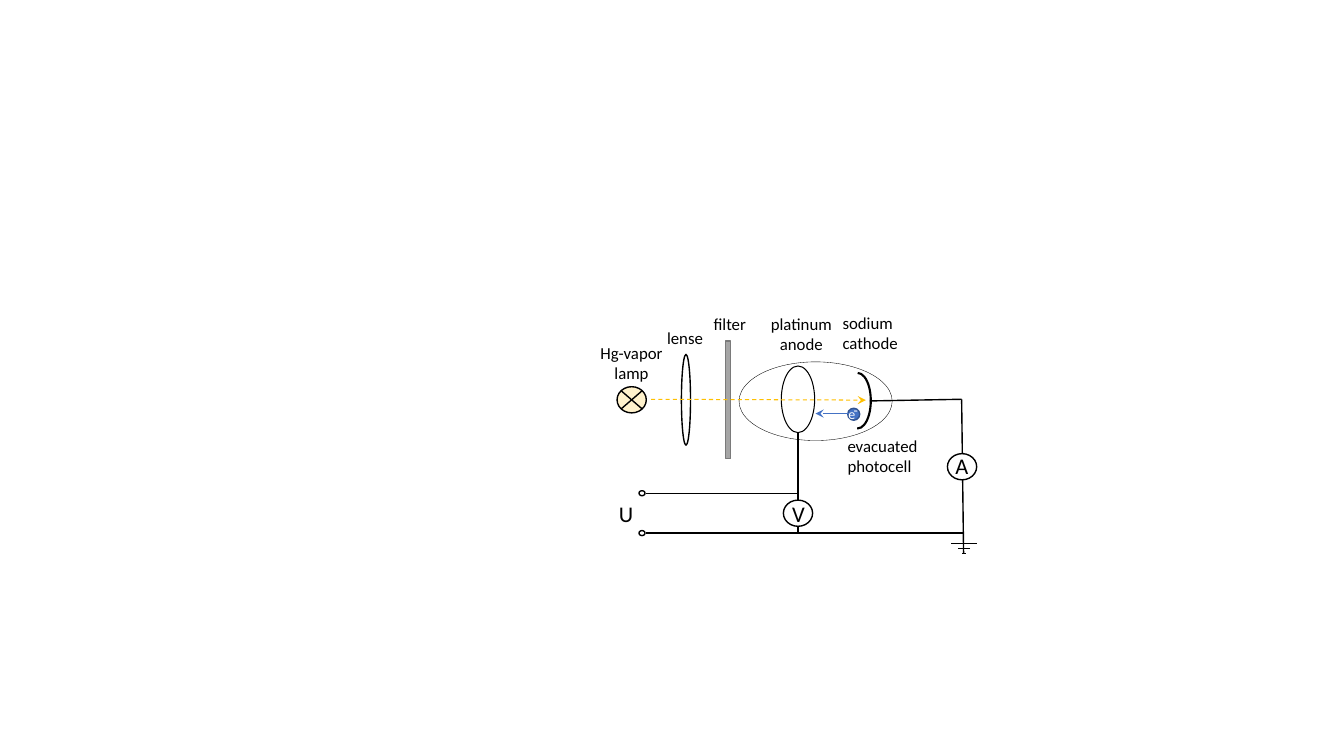
"""Draws the circuit for measuring the photoelectric effect."""
import pptx
import pptx.util
import pptx.dml.color
import pptx.enum.dml
import pptx.enum.shapes
import pptx.enum.text
import pptx.oxml

Pt = pptx.util.Pt
KIND = pptx.enum.shapes.MSO_SHAPE
ALIGN = pptx.enum.text.PP_ALIGN

COLORS = {
    "black": "000000", "white": "FFFFFF", "glow": "FFF2CC",
    "grey": "A5A5A5", "edge": "7A7A7A", "light": "FFC000",
    "blue": "4472C4", "navy": "325491",
}

LAMP, LENS, FILTER, ANODE, METER = 451.2, 490, 520.2, 570, 687.2
AXIS, UPPER, LOWER = 285.6, 352.3, 380.8
PORT = 458.6
GROUND = 688.3

# name: center x, center y, width, height, preset, fill, line, line width
BULB = (582.6, 286.6, 109.4, 56.2, KIND.OVAL, "white", "black", 0.25)
WIRES = [
    (461.5, LOWER, GROUND, LOWER),
    (461.5, UPPER, ANODE, UPPER),
    (ANODE, 309.4, ANODE, LOWER),
    (621.4, 286.4, 686.9, 285.2),
    (686.9, 285.2, GROUND, 395.2),
    (697.7, 388.1, 679, 388.1),
    (693, 391.7, 684, 391.7),
    (689.8, 395.3, 686.9, 395.3),
]
PARTS = [
    (ANODE, 285.2, 23.8, 47.6, KIND.OVAL, "white", "black", 0.75),
    (ANODE, 366.6, 20.9, 18.7, KIND.OVAL, "white", "black", 1),
    (METER, 333.4, 20.9, 18.7, KIND.OVAL, "white", "black", 1),
    (LAMP, AXIS, 20.9, 18.7, KIND.OVAL, "glow", "black", 1),
    (LENS, AXIS, 6.5, 64.8, KIND.OVAL, "white", "black", 1),
    (FILTER, AXIS, 3.6, 84.2, KIND.RECTANGLE, "grey", "edge", 1),
    (PORT, UPPER, 4.3, 3.6, KIND.OVAL, "white", "black", 1),
    (PORT, LOWER, 4.3, 3.6, KIND.OVAL, "white", "black", 1),
    (609.8, 295.9, 8.6, 8.6, KIND.OVAL, "blue", "navy", 1),
]
CATHODE = (612.7, 286.2, 18.7, 39.6, KIND.ARC, None, "black", 1.5)
SWEEP = (162, 54.71)
CROSS = (7.5, 6.5)
LIGHT = (465.1, 285.2, 618.5, 285.8)
PULL = (607, 295.4, 582.5, 295.4)

# text lines, left, top, width, height, size, color, alignment, wrap
LABELS = [
    (["U"], 434.9, 353.5, 20.2, 26.6, 16, "black", ALIGN.LEFT, False),
    (["V"], 558.7, 353.5, 23, 26.6, 16, "black", ALIGN.LEFT, False),
    (["A"], 675.4, 319.7, 23, 26.6, 16, "black", ALIGN.LEFT, False),
    (["lense"], 469.4, 230.4, 47.5, 21.8, 12, "black", ALIGN.LEFT, False),
    (["Hg-vapor", "lamp"], 412.6, 241.2, 77, 36.3, 12, "black", ALIGN.CENTER, True),
    (["filter"], 502.6, 220.3, 38.2, 21.8, 12, "black", ALIGN.LEFT, False),
    (["platinum anode"], 536.4, 220.3, 72, 36.3, 12, "black", ALIGN.CENTER, True),
    (["sodium", "cathode"], 594.7, 219.6, 54, 36.3, 12, "black", ALIGN.LEFT, False),
    (["evacuated photocell"], 598.3, 307.4, 77, 36.3, 12, "black", ALIGN.LEFT, True),
    (["e"], 599, 285.8, 20.2, 19.4, 10, "white", ALIGN.LEFT, False),
    (["-"], 602.6, 283, 20.2, 19.4, 10, "white", ALIGN.LEFT, False),
]


def rgb(name):
    return pptx.dml.color.RGBColor.from_string(COLORS[name])


def add_part(slide, x, y, wide, high, kind, fill, edge, weight):
    part = slide.shapes.add_shape(
        kind, Pt(x - wide / 2), Pt(y - high / 2), Pt(wide), Pt(high))
    part.shadow.inherit = False
    if fill:
        part.fill.solid()
        part.fill.fore_color.rgb = rgb(fill)
    else:
        part.fill.background()
    part.line.color.rgb = rgb(edge)
    part.line.width = Pt(weight)
    return part


def add_wire(slide, ends, color="black", weight=1, dash=False, arrow=False):
    wire = slide.shapes.add_connector(
        pptx.enum.shapes.MSO_CONNECTOR.STRAIGHT, *[Pt(end) for end in ends])
    wire.line.color.rgb = rgb(color)
    wire.line.width = Pt(weight)
    if dash:
        wire.line.dash_style = pptx.enum.dml.MSO_LINE.DASH
    space = 'xmlns:a="http://schemas.openxmlformats.org/drawingml/2006/main"'
    if arrow:
        wire.line._get_or_add_ln().append(
            pptx.oxml.parse_xml(f'<a:tailEnd {space} type="stealth"/>'))
    wire._element.spPr.append(pptx.oxml.parse_xml(f"<a:effectLst {space}/>"))


def add_label(slide, lines, left, top, wide, high, size, color, align, wrap):
    box = slide.shapes.add_textbox(Pt(left), Pt(top), Pt(wide), Pt(high))
    frame = box.text_frame
    frame.text = "\n".join(lines)
    frame.word_wrap = wrap
    frame.auto_size = pptx.enum.text.MSO_AUTO_SIZE.SHAPE_TO_FIT_TEXT
    for line in frame.paragraphs:
        line.alignment = align
        line.font.name = "Calibri"
        line.font.size = Pt(size)
        line.font.color.rgb = rgb(color)


def main():
    deck = pptx.Presentation()
    deck.slide_width, deck.slide_height = Pt(960), Pt(540)
    slide = deck.slides.add_slide(deck.slide_layouts[6])
    add_part(slide, *BULB)
    for ends in WIRES:
        add_wire(slide, ends)
    arc = add_part(slide, *CATHODE)
    for index, angle in enumerate(SWEEP):
        arc.adjustments[index] = angle
    for part in PARTS:
        add_part(slide, *part)
    across, down = CROSS
    for rise in (down, -down):
        add_wire(slide, (LAMP - across, AXIS - rise, LAMP + across, AXIS + rise))
    add_wire(slide, LIGHT, "light", 0.75, dash=True, arrow=True)
    add_wire(slide, PULL, "blue", 0.75, arrow=True)
    for label in LABELS:
        add_label(slide, *label)
    deck.save("out.pptx")


if __name__ == "__main__":
    main()
